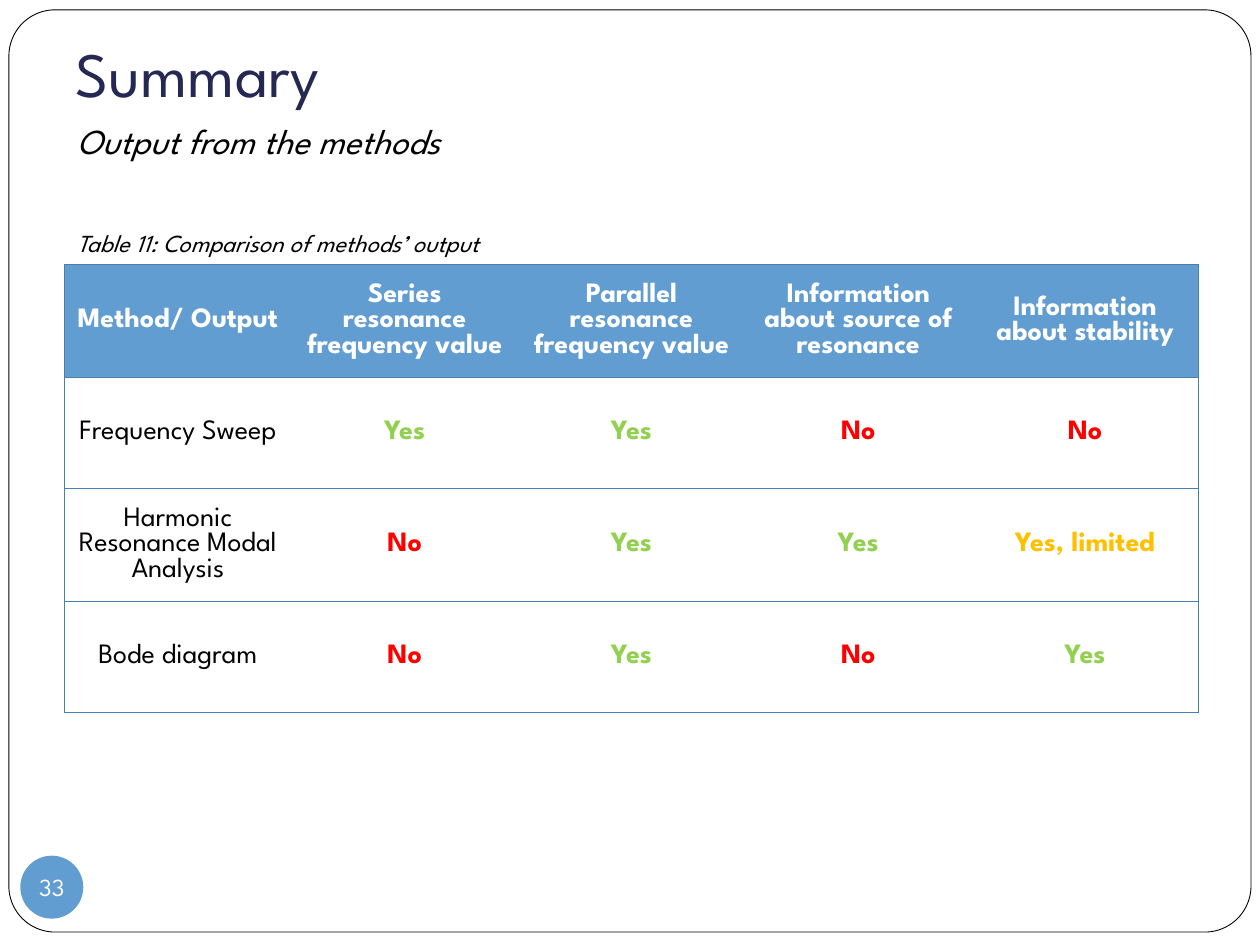
"""Build the summary slide comparing the output of resonance analysis methods."""
from lxml import etree
from pptx import Presentation
from pptx.dml.color import RGBColor
from pptx.enum.shapes import MSO_SHAPE
from pptx.enum.text import MSO_ANCHOR, PP_ALIGN
from pptx.oxml.ns import qn
from pptx.util import Cm, Pt

ROUND_RECT, OVAL = MSO_SHAPE.ROUNDED_RECTANGLE, MSO_SHAPE.OVAL
MIDDLE, BOTTOM = MSO_ANCHOR.MIDDLE, MSO_ANCHOR.BOTTOM
LEFT, CENTER = PP_ALIGN.LEFT, PP_ALIGN.CENTER
BLUE, BORDER, BLACK, WHITE = "629DD1", "4A7EAC", "000000", "FFFFFF"
GREEN, RED, AMBER = "92D050", "FF0000", "FFC000"


def rgb(value):
    return RGBColor.from_string(value)


def add_run(p, text, size, color, align=LEFT, bold=False, italic=False):
    p.alignment = align
    r = p.add_run()
    r.text = text
    r.font.name = "League Spartan"
    r.font.size = Pt(size)
    r.font.bold = bold
    r.font.italic = italic
    r.font.color.rgb = rgb(color)


prs = Presentation()
prs.slide_width, prs.slide_height = Cm(25.4), Cm(19.05)
s = prs.slides.add_slide(prs.slide_layouts[5])

frame = s.shapes.add_shape(ROUND_RECT, Cm(0.18), Cm(0.2), Cm(25.04), Cm(18.59))
frame.adjustments[0] = 0.05
frame.shadow.inherit = False
frame.fill.solid()
frame.fill.fore_color.rgb = rgb(WHITE)
frame.line.color.rgb = rgb(BLACK)
frame.line.width = Pt(0.5)

badge = s.shapes.add_shape(OVAL, Cm(0.41), Cm(17.25), Cm(1.27), Cm(1.27))
badge.shadow.inherit = False
badge.fill.solid()
badge.fill.fore_color.rgb = rgb(BLUE)
badge.line.fill.background()
tf = badge.text_frame
tf.margin_left = tf.margin_top = tf.margin_right = tf.margin_bottom = 0
tf.word_wrap = False
tf.vertical_anchor = MIDDLE
add_run(tf.paragraphs[0], "33", 14, WHITE, CENTER)

title = s.shapes.title
title.left, title.top, title.width, title.height = Cm(1.27), Cm(0.91), Cm(22.86), Cm(1.57)
tf = title.text_frame
tf.vertical_anchor = BOTTOM
tf.margin_bottom = Cm(0.25)
add_run(tf.paragraphs[0], "Summary", 36, "242852")
s.shapes._spTree.append(title._element)

for text, top, width, height, size, before in (
    ("Output from the methods", 2.29, 22.86, 1.04, 20, 4),
    ("Table 11: Comparison of methods’ output", 4.47, 12.4, 0.86, 14, 0),
):
    tf = s.shapes.add_textbox(Cm(1.3), Cm(top), Cm(width), Cm(height)).text_frame
    tf.word_wrap = True
    p = tf.paragraphs[0]
    p.space_before = Pt(before)
    add_run(p, text, size, BLACK, italic=True)

rows = (
    ("Method/ Output", "Series resonance frequency value", "Parallel resonance frequency value",
     "Information about source of resonance", "Information about stability"),
    ("Frequency Sweep", "Yes", "Yes", "No", "No"),
    ("Harmonic\nResonance Modal Analysis", "No", "Yes", "Yes", "Yes, limited"),
    ("Bode diagram", "No", "Yes", "No", "Yes"),
)
answer_colors = {"Yes": GREEN, "No": RED, "Yes, limited": AMBER}
last_col = len(rows[0]) - 1
table = s.shapes.add_table(len(rows), len(rows[0]), Cm(1.3), Cm(5.33), Cm(22.86), Cm(8.92)).table
table.first_row = table.horz_banding = False
for row in table.rows:
    row.height = Cm(2.23)

for i, values in enumerate(rows):
    for j, value in enumerate(values):
        cell = table.cell(i, j)
        cell.vertical_anchor = MIDDLE
        tc_pr = cell._tc.get_or_add_tcPr()
        for side, visible in (("L", j == 0), ("R", j == last_col), ("T", True), ("B", True)):
            ln = etree.SubElement(tc_pr, qn(f"a:ln{side}"), w=str(Pt(0.75)))
            if visible:
                fill = etree.SubElement(ln, qn("a:solidFill"))
                etree.SubElement(fill, qn("a:srgbClr"), val=BORDER)
            else:
                etree.SubElement(ln, qn("a:noFill"))
        if i == 0:
            cell.fill.solid()
            cell.fill.fore_color.rgb = rgb(BLUE)
        else:
            cell.fill.background()
        color = WHITE if i == 0 else answer_colors.get(value, BLACK)
        tf = cell.text_frame
        for n, line in enumerate(value.split("\n")):
            p = tf.add_paragraph() if n else tf.paragraphs[0]
            add_run(p, line, 16, color, CENTER, bold=i == 0 or j > 0)

prs.save("out.pptx")
